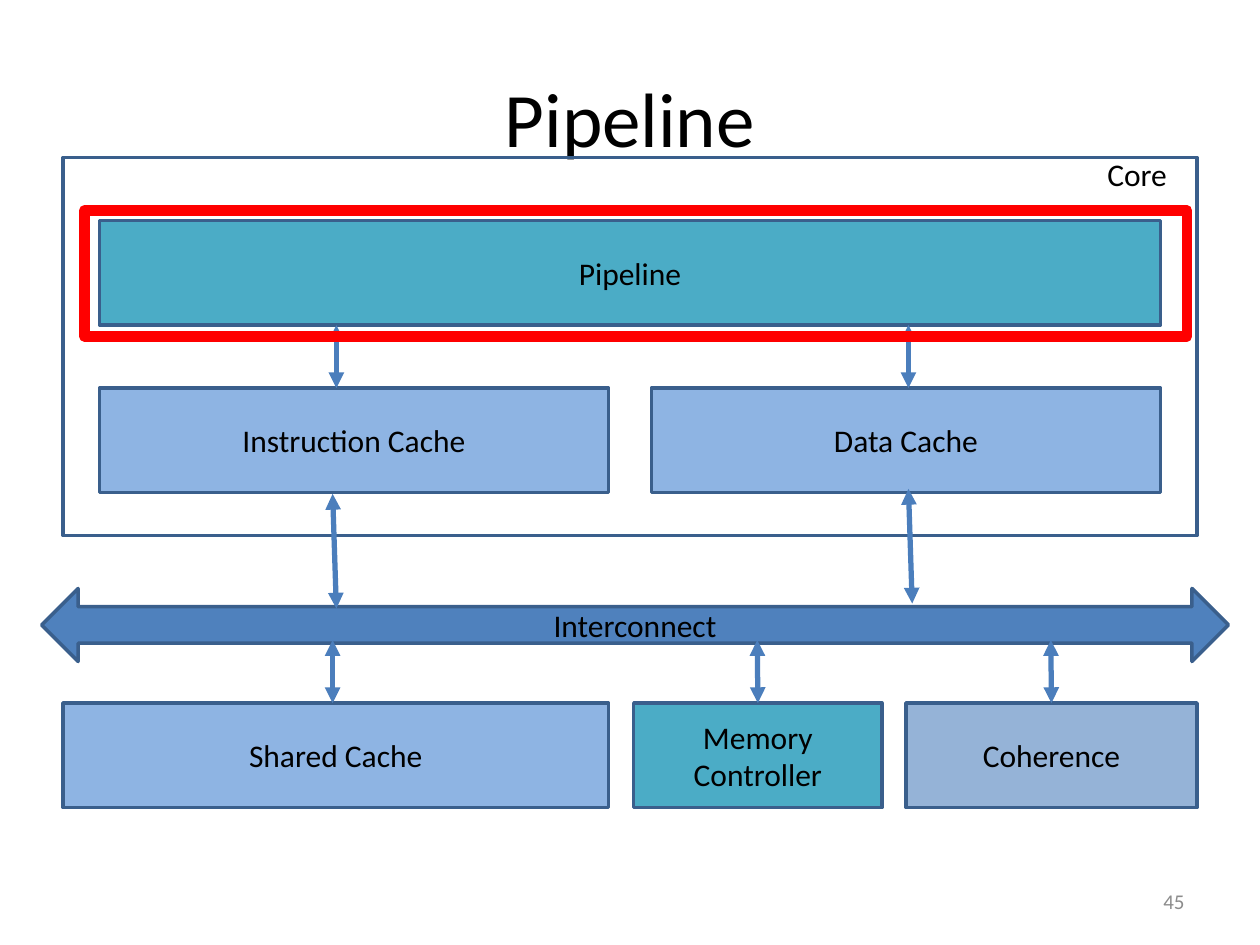
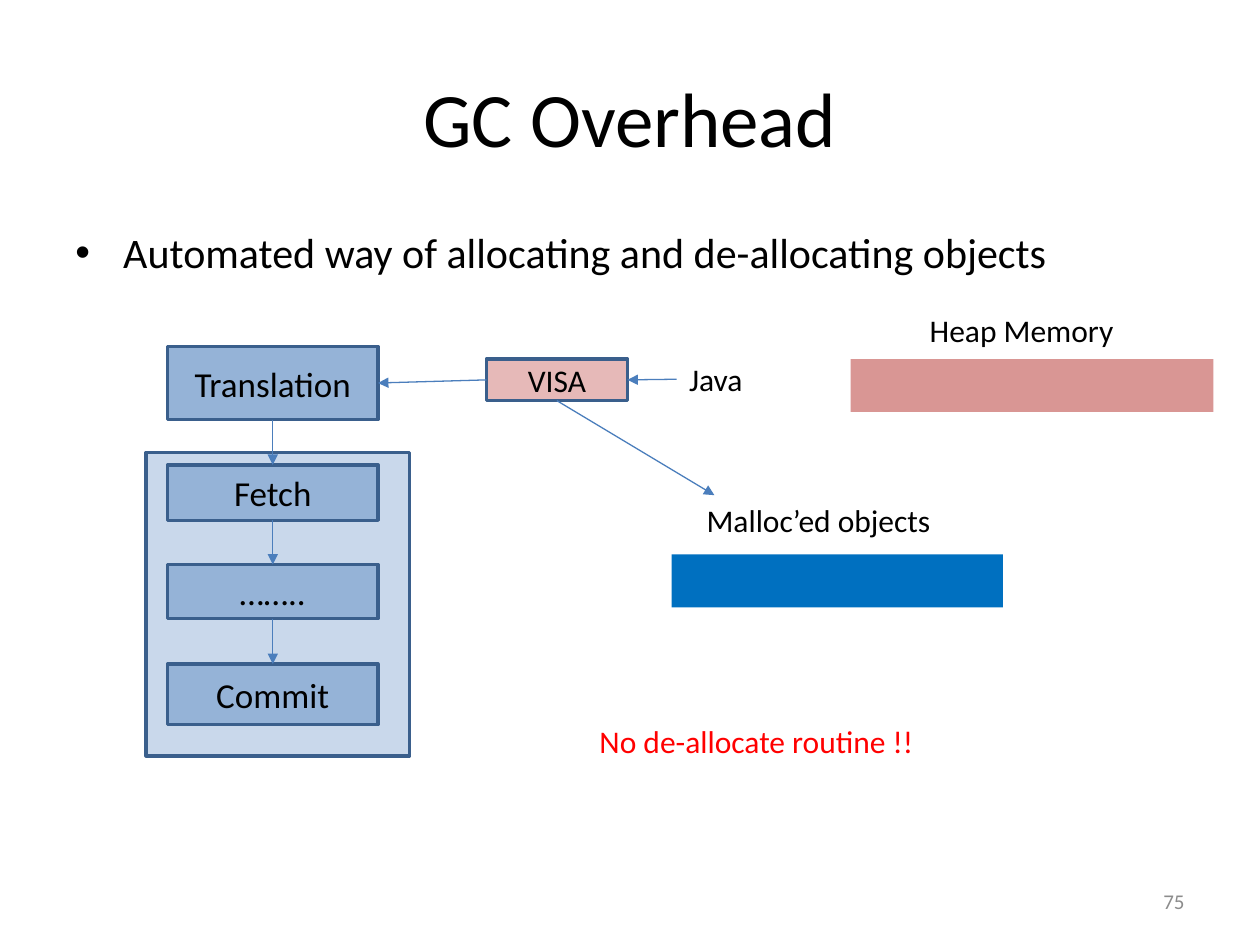
from dataclasses import dataclass

from pptx import Presentation
from pptx.dml.color import RGBColor
from pptx.enum.shapes import MSO_CONNECTOR, MSO_SHAPE
from pptx.enum.text import MSO_ANCHOR, MSO_AUTO_SIZE, PP_ALIGN
from pptx.oxml.ns import qn
from pptx.util import Inches, Pt
from lxml import etree

RECTANGLE = MSO_SHAPE.RECTANGLE
DOUBLE_ARROW = MSO_SHAPE.LEFT_RIGHT_ARROW
STRAIGHT = MSO_CONNECTOR.STRAIGHT
LEFT, CENTER, RIGHT = PP_ALIGN.LEFT, PP_ALIGN.CENTER, PP_ALIGN.RIGHT
TOP, MIDDLE = MSO_ANCHOR.TOP, MSO_ANCHOR.MIDDLE
TITLE_ONLY = 5
SIDE_TOP, SIDE_LEFT, SIDE_BOTTOM, SIDE_RIGHT = range(4)


@dataclass(frozen=True)
class Theme:
    font: str = "Calibri"
    text: str = "000000"
    muted: str = "8C8C8C"
    alert: str = "FF0000"
    border: str = "3A5F8C"
    arrow: str = "4B7EBC"
    blue: str = "4F81BD"
    teal: str = "4BACC6"
    cache: str = "8EB4E3"
    stage: str = "95B3D7"
    pink: str = "E6B9B8"
    heap: str = "D99694"
    malloc: str = "0070C0"
    title_size: float = 44
    body_size: float = 24
    stage_size: float = 20
    label_size: float = 18
    number_size: float = 12
    border_width: float = 2


THEME = Theme()


def color(value):
    return RGBColor.from_string(value)


def write_text(shape, text, size=THEME.label_size, fill=THEME.text,
               align=LEFT, anchor=TOP, wrap=True, bullet=None):
    """Put one formatted paragraph into a shape."""
    frame = shape.text_frame
    frame.word_wrap = wrap
    frame.vertical_anchor = anchor
    paragraph = frame.paragraphs[0]
    paragraph.text = text
    paragraph.alignment = align
    if bullet:
        properties = paragraph._p.get_or_add_pPr()
        indent = Inches(0.38)
        properties.set("marL", str(indent))
        properties.set("indent", str(-indent))
        etree.SubElement(properties, qn("a:buFont"), typeface="Arial")
        etree.SubElement(properties, qn("a:buChar"), char=bullet)
    font = paragraph.font
    font.name, font.size = THEME.font, Pt(size)
    font.color.rgb = color(fill)


class SlideBuilder:
    def __init__(self, presentation):
        self.presentation = presentation
        self.slide = None

    def start(self, title, number):
        """Add a slide with its title and number."""
        layout = self.presentation.slide_layouts[TITLE_ONLY]
        self.slide = self.presentation.slides.add_slide(layout)
        placeholder = self.slide.shapes.title
        placeholder.left, placeholder.top = Inches(0.5), Inches(0.3)
        placeholder.width, placeholder.height = Inches(9), Inches(1.25)
        write_text(placeholder, title, size=THEME.title_size, align=CENTER, anchor=MIDDLE)
        self.text(number, 7.17, 6.95, 2.33, 0.4, size=THEME.number_size,
                  fill=THEME.muted, align=RIGHT, anchor=MIDDLE)

    def text(self, text, left, top, width, height, **style):
        box = self.slide.shapes.add_textbox(
            Inches(left), Inches(top), Inches(width), Inches(height))
        write_text(box, text, **style)
        return box

    def label(self, text, left, top, width, **style):
        """Add a one-line caption that fits its text."""
        box = self.text(text, left, top, width, 0.4, wrap=False, **style)
        box.text_frame.auto_size = MSO_AUTO_SIZE.SHAPE_TO_FIT_TEXT
        return box

    def box(self, left, top, width, height, text=None, fill=None, border=THEME.border,
            border_width=THEME.border_width, opacity=None, kind=RECTANGLE,
            size=THEME.label_size):
        shape = self.slide.shapes.add_shape(
            kind, Inches(left), Inches(top), Inches(width), Inches(height))
        shape.shadow.inherit = False
        if fill:
            shape.fill.solid()
            shape.fill.fore_color.rgb = color(fill)
        else:
            shape.fill.background()
        if opacity:
            tint = shape.fill._xPr.find(".//" + qn("a:srgbClr"))
            etree.SubElement(tint, qn("a:alpha"), val=str(opacity * 1000))
        if border:
            shape.line.color.rgb = color(border)
            shape.line.width = Pt(border_width)
        else:
            shape.line.fill.background()
        if text:
            write_text(shape, text, size=size, align=CENTER, anchor=MIDDLE)
        return shape

    def arrow(self, start, end, width=0.75, both=False):
        """Draw an arrow; each end is an (x, y) point or a (shape, side) pair."""
        points = [end_point(start), end_point(end)]
        connector = self.slide.shapes.add_connector(STRAIGHT, *points[0], *points[1])
        if is_joined(start):
            connector.begin_connect(*start)
        if is_joined(end):
            connector.end_connect(*end)
        connector.line.color.rgb = color(THEME.arrow)
        connector.line.width = Pt(width)
        line = connector.line._get_or_add_ln()
        for tag in ("a:headEnd", "a:tailEnd") if both else ("a:tailEnd",):
            etree.SubElement(line, qn(tag), type="triangle")
        etree.SubElement(connector._element.spPr, qn("a:effectLst"))


def is_joined(end):
    return hasattr(end[0], "shape_id")


def end_point(end):
    if not is_joined(end):
        return Inches(end[0]), Inches(end[1])
    shape, side = end
    across = {SIDE_LEFT: 0, SIDE_RIGHT: 2}.get(side, 1)
    down = {SIDE_TOP: 0, SIDE_BOTTOM: 2}.get(side, 1)
    return shape.left + shape.width * across // 2, shape.top + shape.height * down // 2


def build_pipeline(builder):
    builder.start("Pipeline", "45")
    height = 0.83
    cache_top, lower_top = 3.08, 5.58

    # Core and its units
    builder.box(0.79, 1.75, 8.42, height, "Pipeline", THEME.teal)
    for left, name in ((0.79, "Instruction Cache"), (5.17, "Data Cache")):
        builder.box(left, cache_top, 4.04, height, name, THEME.cache)
    builder.box(0.5, 1.25, 9, 3)
    builder.label("Core", 8.69, 1.18, 0.73)

    # Interconnect and the units below it
    builder.box(0.33, 4.67, 9.42, 0.58, "Interconnect", THEME.blue, kind=DOUBLE_ARROW)
    builder.box(0.5, lower_top, 4.33, height, "Shared Cache", THEME.cache)
    memory = builder.box(5.03, lower_top, 1.97, height, "Memory Controller", THEME.teal)
    coherence = builder.box(7.19, lower_top, 2.31, height, "Coherence", THEME.stage)

    # Two-way links
    links = [
        ((2.67, 2.58), (2.67, cache_top)),
        ((7.21, 2.58), (7.21, cache_top)),
        ((2.64, 3.92), (2.67, 4.83)),
        ((7.21, 3.88), (7.24, 4.79)),
        ((2.64, 5.08), (2.64, lower_top)),
        ((6.01, 5.08), (memory, SIDE_TOP)),
        ((8.34, 5.08), (coherence, SIDE_TOP)),
    ]
    for start, end in links:
        builder.arrow(start, end, width=3, both=True)

    # Highlight
    builder.box(0.67, 1.67, 8.75, 1, border=THEME.alert, border_width=6)


def build_overhead(builder):
    builder.start("GC Overhead", "75")
    builder.text("Automated way of allocating and de-allocating objects",
                 0.5, 1.75, 9, 4.95, size=THEME.body_size, bullet="•")

    # Stages, top to bottom
    builder.box(1.16, 3.59, 2.09, 2.41, fill=THEME.blue, opacity=30)
    stages = [
        builder.box(1.33, top, 1.67, height, name, THEME.stage, size=THEME.stage_size)
        for name, top, height in (("Translation", 2.75, 0.58), ("Fetch", 3.69, 0.44),
                                  ("……..", 4.48, 0.43), ("Commit", 5.27, 0.48))
    ]
    for upper, lower in zip(stages, stages[1:]):
        builder.arrow((upper, SIDE_BOTTOM), (lower, SIDE_TOP))

    # Source language and virtual instruction set
    java = builder.label("Java", 5.37, 2.81, 0.72)
    visa = builder.box(3.86, 2.85, 1.12, 0.33, "VISA", THEME.pink)
    builder.arrow((java, SIDE_LEFT), (visa, SIDE_RIGHT))
    builder.arrow((visa, SIDE_LEFT), (stages[0], SIDE_RIGHT))
    builder.arrow((visa, SIDE_BOTTOM), (5.67, 3.93))

    # Memory areas
    builder.label("Heap Memory", 7.28, 2.42, 1.81)
    builder.label("Malloc’ed objects", 5.51, 3.93, 2.13)
    for left, top, width, fill in ((7, 2.85, 2.63, THEME.heap),
                                   (6.75, 2.85, 0.25, THEME.heap),
                                   (5.33, 4.4, 2.63, THEME.malloc)):
        builder.box(left, top, width, 0.42, fill=fill, border=None)

    builder.label("No de-allocate routine !!", 4.66, 5.68, 2.93, fill=THEME.alert)


def main():
    presentation = Presentation()
    presentation.slide_width, presentation.slide_height = Inches(10), Inches(7.5)
    builder = SlideBuilder(presentation)
    build_pipeline(builder)
    build_overhead(builder)
    presentation.save("out.pptx")


if __name__ == "__main__":
    main()
